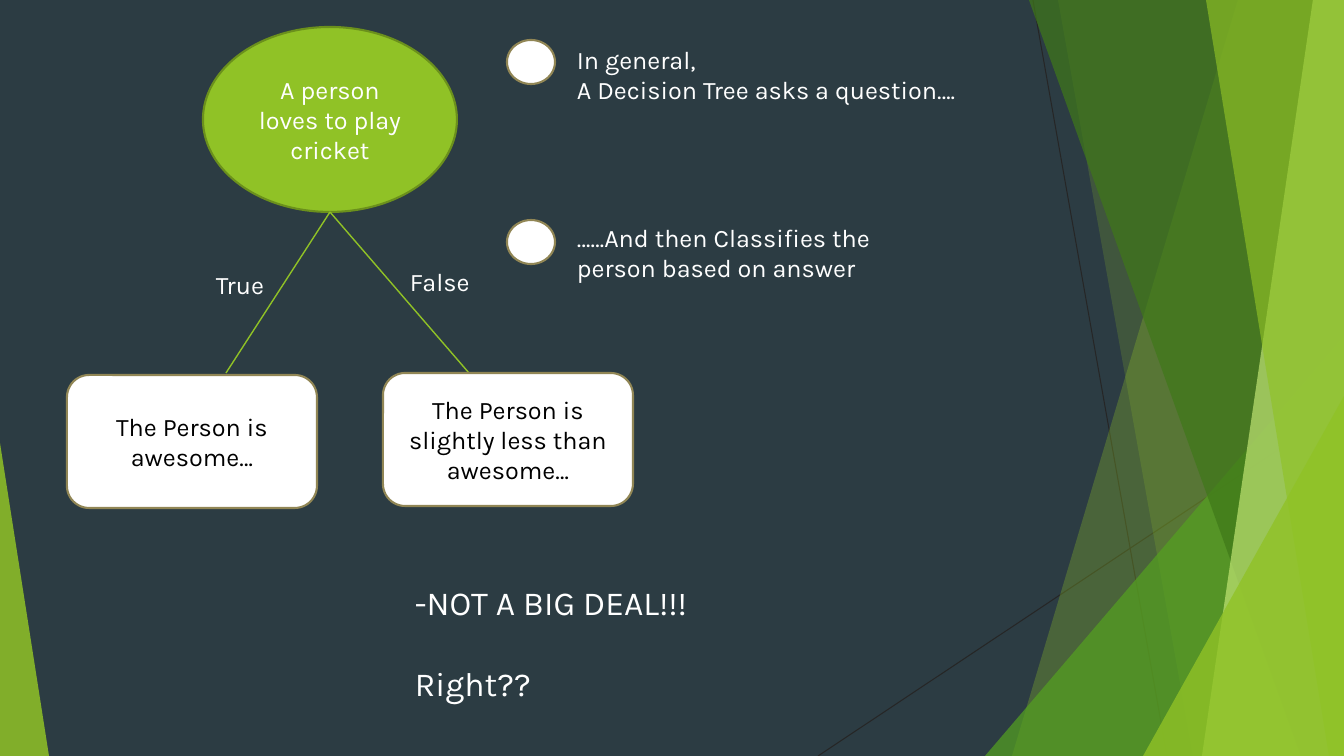
import dataclasses

import lxml.etree
import pptx
import pptx.dml.color
import pptx.enum.shapes
import pptx.enum.text
import pptx.oxml.ns
import pptx.util

KIND = pptx.enum.shapes.MSO_SHAPE
ALIGN = pptx.enum.text.PP_ALIGN
ANCHOR = pptx.enum.text.MSO_ANCHOR
SCALE = 914400 / 100.8
WIDE, HIGH = 1344, 756


@dataclasses.dataclass(frozen=True)
class Theme:
    """Colours, font and type sizes."""
    back: str = "2C3C43"
    lime: str = "90C226"
    green: str = "54A021"
    dark: str = "3F7819"
    pale: str = "C0E474"
    rim: str = "6B901C"
    tan: str = "918655"
    white: str = "FFFFFF"
    black: str = "000000"
    thin: str = "262626"
    font: str = "Karla"
    body: int = 18
    large: int = 24


def emu(*nums):
    """Turn pixels into EMU."""
    return [pptx.util.Emu(round(num * SCALE)) for num in nums]


def rgb(code):
    """Turn a hex code into a colour."""
    return pptx.dml.color.RGBColor.from_string(code)


def apply(item, form):
    """Set each value of a format dict on an item."""
    for name, value in form.items():
        setattr(item, name, value)


class Deck:
    """Holds the style and the current slide."""

    def __init__(self, theme):
        """Start a file with one blank slide."""
        self.theme = theme
        self.file = pptx.Presentation()
        wide, high = emu(WIDE, HIGH)
        apply(self.file, {"slide_width": wide, "slide_height": high})
        self.slide = self.file.slides.add_slide(self.file.slide_layouts[6])
        self.paint(self.slide.background, theme.back)

    def paint(self, item, color):
        """Give an item a solid fill."""
        item.fill.solid()
        item.fill.fore_color.rgb = rgb(color)

    def facet(self, shape, color, alpha):
        """Make a shape a clear pane without outline."""
        shape.shadow.inherit = False
        self.paint(shape, color)
        shape.line.fill.background()
        tone = shape._element.spPr.find(pptx.oxml.ns.qn("a:solidFill"))[0]
        node = lxml.etree.SubElement(tone, pptx.oxml.ns.qn("a:alpha"))
        node.set("val", str(alpha * 1000))

    def pane(self, top, base, color, alpha):
        """Draw a pane from a slanted left side to the right edge."""
        pen = self.slide.shapes.build_freeform(top, 0, scale=SCALE)
        pen.add_line_segments([(WIDE, 0), (WIDE, HIGH), (base, HIGH)])
        self.facet(pen.convert_to_shape(), color, alpha)

    def wedge(self, left, wide, high, tip, color, alpha):
        """Draw a triangle that stands on the bottom edge."""
        box = emu(left, HIGH - high, wide, high)
        shape = self.slide.shapes.add_shape(KIND.ISOSCELES_TRIANGLE, *box)
        shape.adjustments[0] = tip
        self.facet(shape, color, alpha)

    def line(self, start, end, color, width):
        """Draw a straight line."""
        kind = pptx.enum.shapes.MSO_CONNECTOR.STRAIGHT
        line = self.slide.shapes.add_connector(kind, *emu(*start, *end))
        line.line.color.rgb = rgb(color)
        line.line.width = pptx.util.Pt(width)
        tag = pptx.oxml.ns.qn("a:effectLst")
        lxml.etree.SubElement(line._element.spPr, tag)

    def words(self, frame, lines, color, size, form, gap=0):
        """Fill a text frame, one paragraph for each line."""
        apply(frame, {"word_wrap": True})
        frame.text = "\n".join(lines)
        for rank, para in enumerate(frame.paragraphs):
            apply(para, form)
            if rank:
                para.space_before = pptx.util.Pt(gap)
            apply(para.font, {"name": self.theme.font,
                              "size": pptx.util.Pt(size)})
            para.font.color.rgb = rgb(color)

    def node(self, kind, box, fill, edge, text="", color="000000"):
        """Draw an outlined shape with centred text."""
        shape = self.slide.shapes.add_shape(kind, *emu(*box))
        shape.shadow.inherit = False
        self.paint(shape, fill)
        shape.line.color.rgb = rgb(edge)
        shape.line.width = pptx.util.Pt(1.5)
        if text:
            shape.text_frame.vertical_anchor = ANCHOR.MIDDLE
            self.words(shape.text_frame, [text], color, self.theme.body,
                       {"alignment": ALIGN.CENTER})

    def label(self, box, lines, size, gap=0):
        """Place white text without a frame."""
        shape = self.slide.shapes.add_textbox(*emu(*box))
        self.words(shape.text_frame, lines, self.theme.white, size,
                   {"alignment": ALIGN.LEFT}, gap)


def decor(deck):
    """Draw the lines and panes at the sides."""
    look = deck.theme
    deck.line((1033, 0), (1167, HIGH), look.thin, 0.75)
    deck.line((WIDE, 406), (818, HIGH), look.thin, 0.75)
    deck.pane(1238, 1012, look.lime, 30)
    deck.pane(1058, 1193, look.lime, 20)
    deck.wedge(985, 359, 420, 1, look.green, 72)
    deck.pane(1029, 1301, look.dark, 70)
    deck.pane(1313, 1202, look.pale, 70)
    deck.pane(1206, 1329, look.lime, 65)
    deck.wedge(1143, 201, 360, 1, look.lime, 80)
    deck.wedge(0, 49, 313, 0, look.lime, 85)


def tree(deck):
    """Draw the question, its branches and both answers."""
    look = deck.theme
    deck.node(KIND.OVAL, (203, 27, 254, 185), look.lime, look.rim,
              "A person loves to play cricket", look.white)
    for end in ((226, 373), (469, 373)):
        deck.line((330, 212), end, look.lime, 1)
    for left, top, text in (
            (67, 375, "The Person is awesome…"),
            (383, 373, "The Person is slightly less than awesome…")):
        deck.node(KIND.ROUNDED_RECTANGLE, (left, top, 250, 133),
                  look.white, look.tan, text, look.black)
    deck.label((206, 264, 108, 40), ["True"], look.body)
    deck.label((400, 261, 90, 40), ["False"], look.body)


def notes(deck):
    """Place the two points and the closing words."""
    look = deck.theme
    for dot, top, wide, lines in (
            (40, 39, 402,
             ["In general,", "A Decision Tree asks a question…."]),
            (220, 217, 318,
             ["……And then Classifies the person based on answer"])):
        deck.node(KIND.OVAL, (507, dot, 48, 44), look.white, look.tan)
        deck.label((567, top, wide, 72), lines, look.body)
    deck.label((405, 577, 369, 132), ["-NOT A BIG DEAL!!!", "Right??"],
               look.large, gap=29)


deck = Deck(Theme())
decor(deck)
tree(deck)
notes(deck)
deck.file.save("out.pptx")
